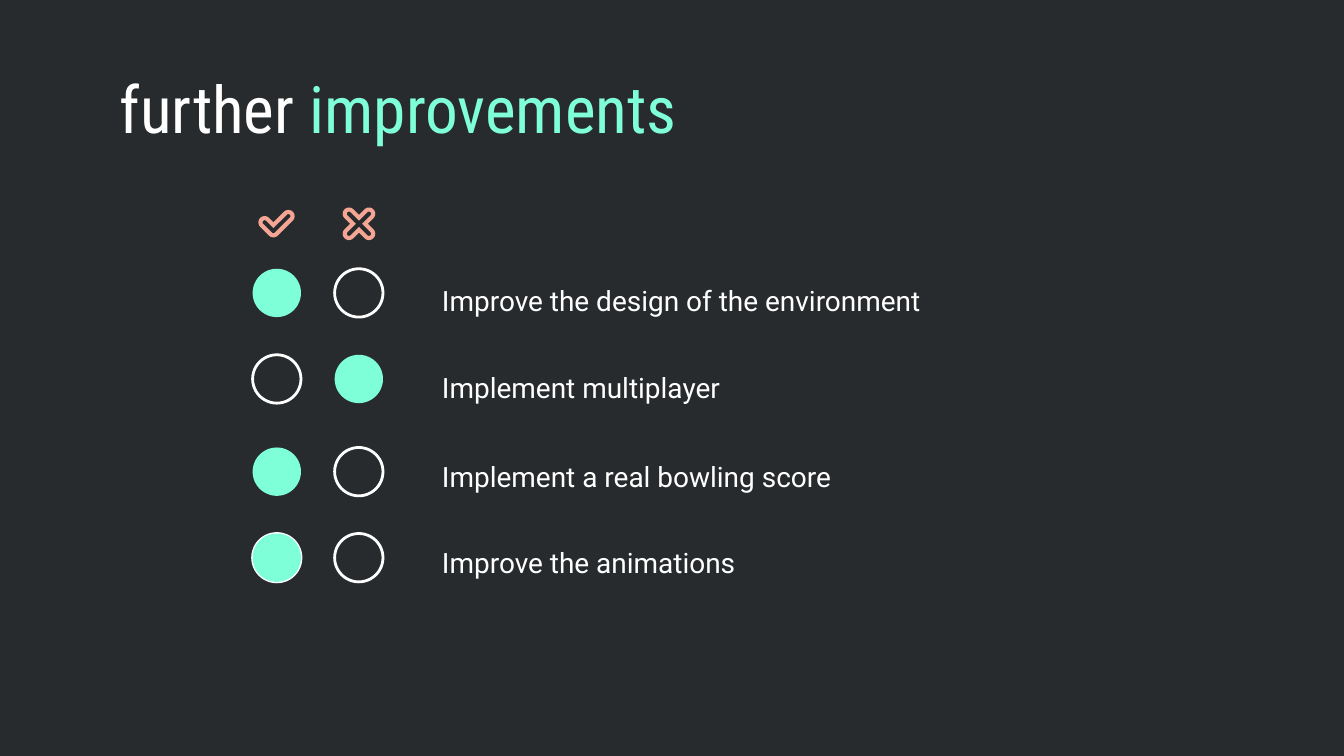
import math

from pptx import Presentation, util as u
from pptx.dml.color import RGBColor
from pptx.enum import shapes, text

BACKGROUND = RGBColor(0x28, 0x2B, 0x2D)
WHITE = RGBColor(0xFF, 0xFF, 0xFF)
MINT = RGBColor(0x7F, 0xFF, 0xD8)
SALMON = RGBColor(0xF5, 0xA5, 0x93)

presentation = Presentation()
presentation.slide_width = u.Inches(10)
presentation.slide_height = u.Inches(10 * 9 / 16)
slide = presentation.slides.add_slide(presentation.slide_layouts[6])
slide.background.fill.solid()
slide.background.fill.fore_color.rgb = BACKGROUND


def add_text(runs, left, top, width, height, size, font, line_spacing=1.0):
    """Add a one-paragraph box; runs is a list of (words, colour)."""
    box = slide.shapes.add_textbox(*map(u.Inches, (left, top, width, height)))
    frame = box.text_frame
    frame.word_wrap = True
    frame.vertical_anchor = text.MSO_ANCHOR.TOP
    frame.margin_left = frame.margin_right = u.Inches(0.1)
    frame.margin_top = frame.margin_bottom = u.Inches(0.1)
    paragraph = frame.paragraphs[0]
    paragraph.line_spacing = line_spacing
    for words, colour in runs:
        run = paragraph.add_run()
        run.text = words
        run.font.size = u.Pt(size)
        run.font.name = font
        run.font.color.rgb = colour


def rounded_arms(centre, arms, radius):
    """Outline points of round-ended arms, (angle, length), meeting at right angles."""
    def around(x, y, distance, angle):
        turn = math.radians(angle)
        return x + distance * math.cos(turn), y + distance * math.sin(turn)

    points = []
    for index, (angle, length) in enumerate(arms):
        tip = around(*centre, length, angle)
        points += [around(*tip, radius, angle + step) for step in range(-90, 91, 15)]
        gap = (arms[(index + 1) % len(arms)][0] - angle) % 360
        if gap == 90:
            points.append(around(*centre, radius * math.sqrt(2), angle + 45))
        else:
            points += [around(*centre, radius, angle + step)
                       for step in range(90, gap - 89, 15)]
    return points


add_text([("further ", WHITE), ("improvements", MINT)], 0.79, 0.41, 5.53, 0.7,
         size=35, font="Roboto Condensed")

# Column icons, measured in thousandths of an inch
icons = [
    ((2035, 1720), [(225, 92), (315, 157)]),
    ((2671, 1665), [(45, 105), (135, 105), (225, 105), (315, 105)]),
]
for centre, arms in icons:
    outer, inner = (rounded_arms(centre, arms, radius) for radius in (47, 16))
    builder = slide.shapes.build_freeform(*outer[0], scale=u.Inches(1) / 1000)
    builder.add_line_segments(outer[1:], close=True)
    builder.move_to(*inner[0])
    builder.add_line_segments(inner[1:], close=True)
    icon = builder.convert_to_shape()
    icon.shadow.inherit = False
    icon.fill.solid()
    icon.fill.fore_color.rgb = SALMON
    icon.line.fill.background()

# Wording, text top, circle top, state of the check and cross columns
WHITE_RING, MINT_DISC, RINGED_DISC = (False, True), (True, False), (True, True)
rows = [
    ("Improve the design of the environment", 1.97, 2.0, MINT_DISC, WHITE_RING),
    ("Implement multiplayer", 2.62, 2.64, WHITE_RING, MINT_DISC),
    ("Implement a real bowling score", 3.28, 3.33, MINT_DISC, WHITE_RING),
    ("Improve the animations", 3.92, 3.97, RINGED_DISC, WHITE_RING),
]
for words, text_top, circle_top, *states in rows:
    add_text([(words, WHITE)], 3.19, text_top, 4.49, 0.36,
             size=15, font="Roboto", line_spacing=1.15)
    for left, (filled, ringed) in zip((1.88, 2.49), states):
        # A ringed disc is a plain disc lying on a ring
        layers = [WHITE_RING, MINT_DISC] if filled and ringed else [(filled, ringed)]
        for disc, ring in layers:
            circle = slide.shapes.add_shape(
                shapes.MSO_SHAPE.OVAL, u.Inches(left), u.Inches(circle_top),
                u.Inches(0.36), u.Inches(0.36))
            circle.shadow.inherit = False
            if disc:
                circle.fill.solid()
                circle.fill.fore_color.rgb = MINT
            else:
                circle.fill.background()
            if ring:
                circle.line.color.rgb = WHITE
                circle.line.width = u.Pt(1.5)
            else:
                circle.line.fill.background()

presentation.save("out.pptx")
